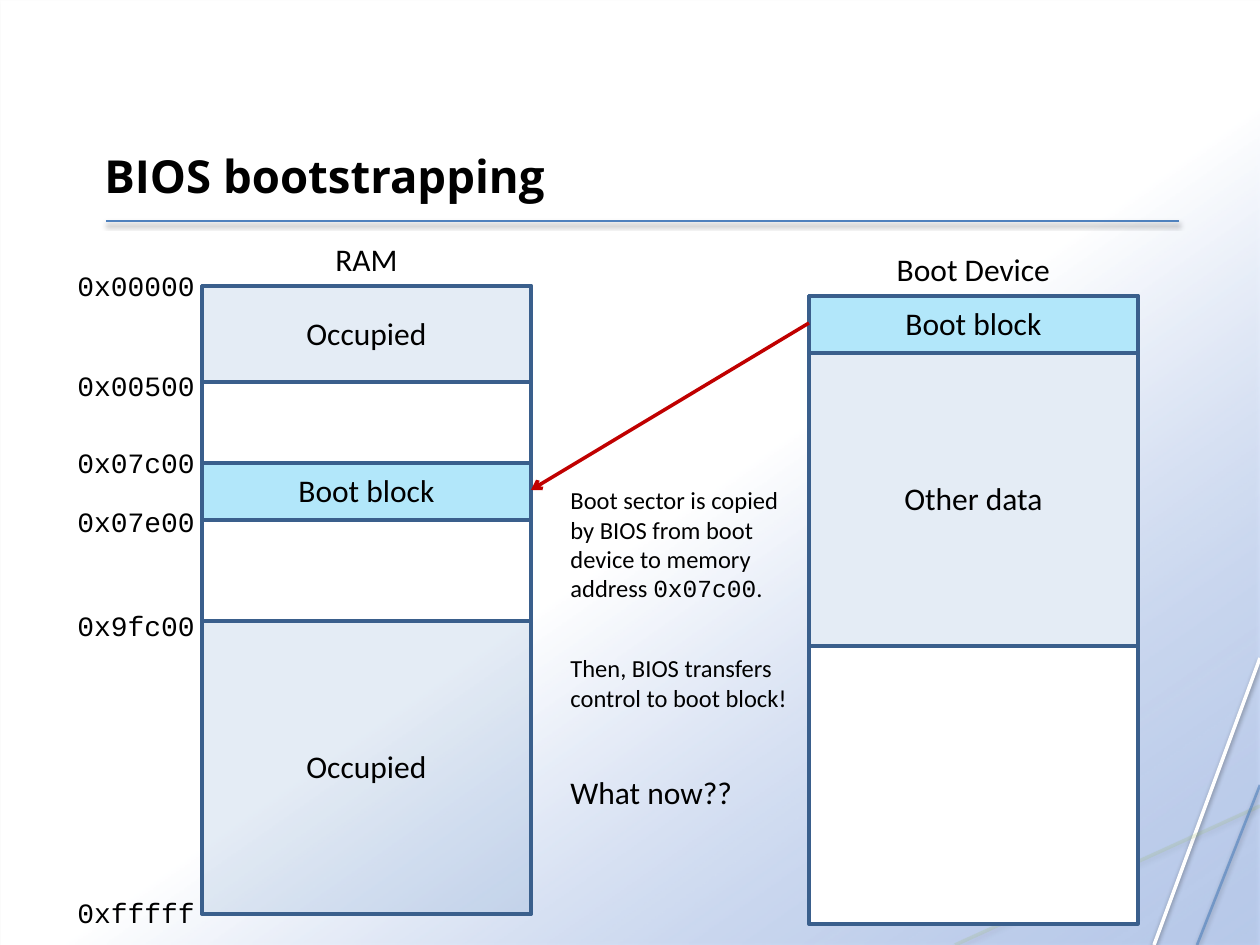
from dataclasses import dataclass
from typing import NamedTuple, Optional

import lxml.etree
import pptx
import pptx.dml.color
import pptx.enum.shapes
import pptx.enum.text
import pptx.oxml
import pptx.oxml.ns
import pptx.util

PX = 914400 / 126


@dataclass(frozen=True)
class Theme:
    black: str = "000000"
    white: str = "FFFFFF"
    glow: str = "A4C4FF"
    blue: str = "4F81BD"
    green: str = "9BBB59"
    cyan: str = "00B0F0"
    border: str = "3A5F8C"
    red: str = "C00000"
    title_font: str = "Open Sans"
    body_font: str = "Calibri"
    code_font: str = "Courier New"
    title_size: int = 26
    label_size: int = 18
    code_size: int = 16
    note_size: int = 14


T = Theme()


class Box(NamedTuple):
    x: int
    y: int
    w: int
    h: int


class Rule(NamedTuple):
    start: tuple[int, int]
    end: tuple[int, int]
    color: str
    width: float
    alpha: int = 100


class Block(NamedTuple):
    text: str
    y: int
    h: int
    color: str
    alpha: int


class Memory(NamedTuple):
    name: str
    box: Box
    fill: Optional[str]
    blocks: list[Block]


class Note(NamedTuple):
    y: int
    h: int
    size: int
    runs: list[tuple[str, str]]


RULES = [
    Rule((1260, 658), (1154, 945), T.white, 2),
    Rule((1260, 806), (955, 945), T.green, 2, 16),
    Rule((1260, 785), (1197, 945), T.blue, 1.5, 60),
    Rule((106, 221), (1179, 221), T.blue, 1),
]
MEMORIES = [
    Memory("RAM", Box(202, 286, 329, 628), None, [
        Block("Occupied", 286, 96, T.blue, 15),
        Block("Boot block", 463, 57, T.cyan, 30),
        Block("Occupied", 621, 293, T.blue, 15),
    ]),
    Memory("Boot Device", Box(809, 296, 329, 628), T.white, [
        Block("Boot block", 296, 57, T.cyan, 30),
        Block("Other data", 353, 293, T.blue, 15),
    ]),
]
ADDRESSES = {"0x00000": 262, "0x00500": 362, "0x07c00": 439,
             "0x07e00": 498, "0x9fc00": 602, "0xfffff": 889}
NOTES = [
    Note(479, 159, T.note_size, [
        ("Boot sector is copied by BIOS from boot device to memory address ", T.body_font),
        ("0x07c00", T.code_font), (".", T.body_font)]),
    Note(647, 101, T.note_size, [("Then, BIOS transfers control to boot block!", T.body_font)]),
    Note(767, 50, T.label_size, [("What now??", T.body_font)]),
]


def emu(*pixels: int) -> list[int]:
    return [round(v * PX) for v in pixels]


def rgb(color: str) -> pptx.dml.color.RGBColor:
    return pptx.dml.color.RGBColor.from_string(color)


def child(parent, tag: str, **attrs):
    return lxml.etree.SubElement(parent, pptx.oxml.ns.qn(tag), attrs)


def set_alpha(element, color: str, percent: int) -> None:
    if percent < 100:
        for clr in element.iter(pptx.oxml.ns.qn("a:srgbClr")):
            if clr.get("val") == color:
                child(clr, "a:alpha", val=str(percent * 1000))


def add_shadow(effects, alpha: int, dist: float) -> None:
    shadow = child(effects, "a:outerShdw", blurRad=str(pptx.util.Pt(3.1)),
                   dist=str(pptx.util.Pt(dist)), dir="5400000", rotWithShape="0")
    clr = child(shadow, "a:srgbClr", val=T.black)
    child(clr, "a:alpha", val=str(alpha * 1000))


def add_rect(slide, box: Box, fill: Optional[str], alpha: int = 100):
    sp = slide.shapes.add_shape(pptx.enum.shapes.MSO_SHAPE.RECTANGLE, *emu(*box))
    sp.shadow.inherit = False
    if fill:
        sp.fill.solid()
        sp.fill.fore_color.rgb = rgb(fill)
        set_alpha(sp.element.spPr, fill, alpha)
    else:
        sp.fill.background()
    sp.line.color.rgb = rgb(T.border)
    sp.line.width = pptx.util.Pt(2)
    return sp


def add_backdrop(slide) -> None:
    sp = add_rect(slide, Box(0, 0, 1260, 945), None)
    sp.line.fill.background()
    sp.fill.gradient()
    sp.fill.gradient_angle = 305
    for stop, position, color in zip(sp.fill.gradient_stops, (0.54, 1), (T.white, T.glow)):
        stop.position = position
        stop.color.rgb = rgb(color)
    set_alpha(sp.element.spPr, T.glow, 54)
    add_shadow(sp.element.spPr.find(pptx.oxml.ns.qn("a:effectLst")), 35, 1.8)


def add_line(slide, rule: Rule, arrow: bool = False) -> None:
    line = slide.shapes.add_connector(pptx.enum.shapes.MSO_CONNECTOR.STRAIGHT,
                                      *emu(*rule.start, *rule.end))
    line.line.color.rgb = rgb(rule.color)
    line.line.width = pptx.util.Pt(rule.width)
    spPr = line.element.spPr
    set_alpha(spPr, rule.color, rule.alpha)
    effects = child(spPr, "a:effectLst")
    if arrow:
        child(spPr.find(pptx.oxml.ns.qn("a:ln")), "a:tailEnd", type="arrow")
    else:
        add_shadow(effects, 38, 1.6)


def add_text(slide, box: Box, runs: list[tuple[str, str]], size: int,
             center: bool = False, wrap: bool = True):
    tf = slide.shapes.add_textbox(*emu(*box)).text_frame
    tf.word_wrap = wrap
    p = tf.paragraphs[0]
    p.font.size = pptx.util.Pt(size)
    p.font.color.rgb = rgb(T.black)
    p.font.name = runs[0][1]
    if center:
        p.alignment = pptx.enum.text.PP_ALIGN.CENTER
    for text, font in runs:
        r = p.add_run()
        r.text = text
        if font != runs[0][1]:
            r.font.name = font
    return tf


def add_label(slide, text: str, x: int, y: int, w: int) -> None:
    add_text(slide, Box(x, y, w, 50), [(text, T.body_font)], T.label_size, center=True)


def add_memory(slide, memory: Memory) -> None:
    x, y, w, _ = memory.box
    add_rect(slide, memory.box, memory.fill)
    add_label(slide, memory.name, x, y - 52, w)
    for block in memory.blocks:
        add_rect(slide, Box(x, block.y, w, block.h), block.color, block.alpha)
        add_label(slide, block.text, x, block.y + (block.h - 50) // 2 - 1, w)


def main() -> None:
    """Build the BIOS bootstrapping slide."""
    prs = pptx.Presentation()
    prs.slide_width, prs.slide_height = emu(1260, 945)
    slide = prs.slides.add_slide(prs.slide_layouts[6])
    add_backdrop(slide)
    for rule in RULES:
        add_line(slide, rule)
    tf = add_text(slide, Box(92, 41, 1086, 168), [("BIOS bootstrapping", T.title_font)], T.title_size)
    tf.vertical_anchor = pptx.enum.text.MSO_ANCHOR.BOTTOM
    tf.paragraphs[0].font.bold = True
    for memory in MEMORIES:
        add_memory(slide, memory)
    for address, y in ADDRESSES.items():
        add_text(slide, Box(65, y, 145, 45), [(address, T.code_font)], T.code_size, wrap=False)
    add_line(slide, Rule((809, 323), (531, 490), T.red, 2), arrow=True)
    for note in NOTES:
        add_text(slide, Box(558, note.y, 248, note.h), note.runs, note.size)
    prs.save("out.pptx")


main()
